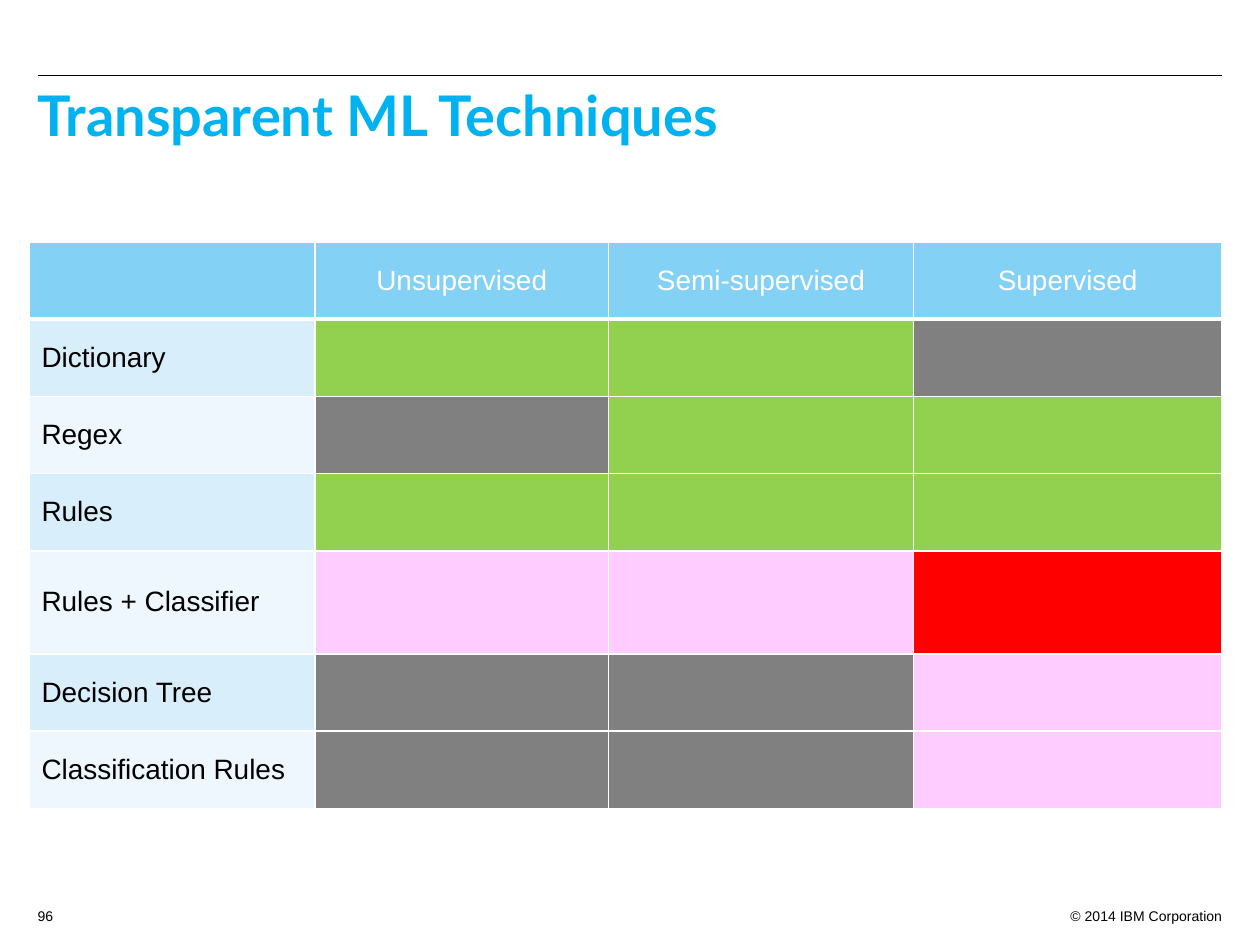
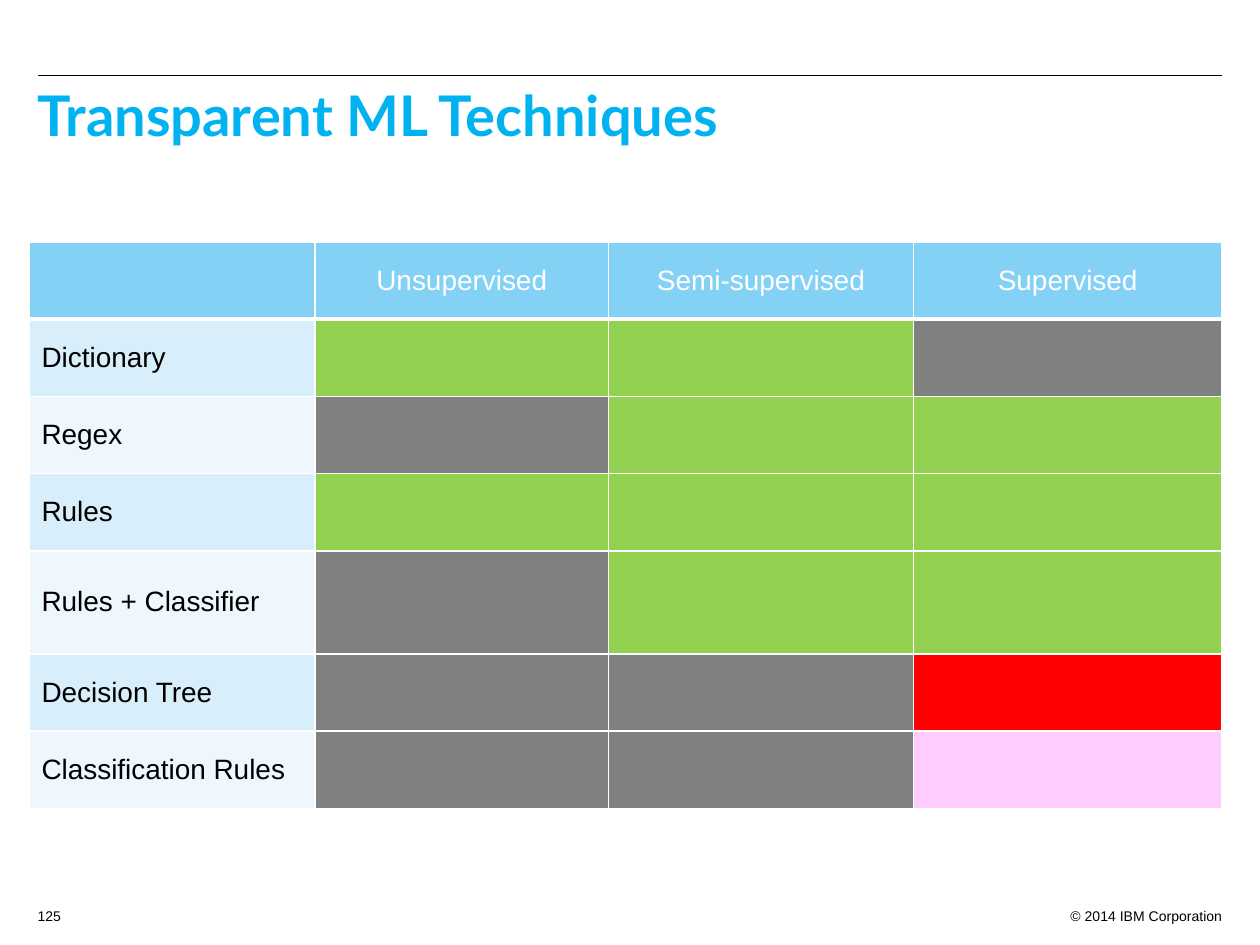
from lxml import etree
from pptx import Presentation, util as u
from pptx.dml.color import RGBColor
from pptx.enum import shapes, text
from pptx.oxml import ns

# Slide grid: 100 columns by 75 rows
SIZE = (10, 7.5)
GRID = (100, 75)

BLACK, WHITE, TITLE_BLUE = "000000", "FFFFFF", "00B2EF"
HEADER_FILL, LABEL_FILLS = "83D1F5", ("D9EEFB", "EDF7FD")
STATUS = {"G": "92D050", "N": "808080", "P": "FFCCFF", "R": "FF0000"}

HEADINGS = ("", "Unsupervised", "Semi-supervised", "Supervised")
TECHNIQUES = ("Dictionary", "Regex", "Rules", "Rules + Classifier",
              "Decision Tree", "Classification Rules")
COLUMN_WIDTHS = (22.7, 23.3, 24.2, 24.5)
ROW_HEIGHT, TALL_ROW_HEIGHT = 6.13, 8.17
TALL_ROW = "Rules + Classifier"

# Page number and one status letter per learning mode, a word per technique
PAGES = (
    ("96", "GGN NGG GGG PPR NNP NNP"),
    ("125", "GGN NGG GGG NGG NNR NNP"),
)

FORMATS = {
    "title": {"name": "Lato", "size": u.Pt(32), "bold": True},
    "footer": {"name": "Arial", "size": u.Pt(8)},
    "cell": {"name": "Arial", "size": u.Pt(16)},
}


def color(value):
    return RGBColor.from_string(value)


class Deck:
    def __init__(self):
        self.presentation = Presentation()
        self.presentation.slide_width = u.Inches(SIZE[0])
        self.presentation.slide_height = u.Inches(SIZE[1])
        self.slide = None

    def x(self, columns):
        return round(self.presentation.slide_width * columns / GRID[0])

    def y(self, rows):
        return round(self.presentation.slide_height * rows / GRID[1])

    def fill_text(self, frame, words, style, font_color, align="LEFT"):
        paragraph = frame.paragraphs[0]
        paragraph.text = words
        paragraph.alignment = getattr(text.PP_ALIGN, align)
        for name, value in FORMATS[style].items():
            setattr(paragraph.font, name, value)
        paragraph.font.color.rgb = color(font_color)
        return paragraph

    def label(self, left, top, width, height, words, style, font_color, align="LEFT"):
        box = self.slide.shapes.add_textbox(
            self.x(left), self.y(top), self.x(width), self.y(height))
        box.text_frame.word_wrap = True
        return self.fill_text(box.text_frame, words, style, font_color, align)

    def rule(self, left, right, row):
        line = self.slide.shapes.add_connector(
            shapes.MSO_CONNECTOR.STRAIGHT,
            self.x(left), self.y(row), self.x(right), self.y(row))
        line.line.color.rgb = color(BLACK)
        line.line.width = u.Pt(0.75)
        etree.SubElement(line._element.spPr, ns.qn("a:effectLst"))

    def borders(self, cell, bottom):
        properties = cell._tc.get_or_add_tcPr()
        for index, (side, points) in enumerate(zip("LRTB", (1, 1, 1, bottom))):
            edge = etree.Element(ns.qn(f"a:ln{side}"), w=str(u.Pt(points)))
            fill = etree.SubElement(edge, ns.qn("a:solidFill"))
            etree.SubElement(fill, ns.qn("a:srgbClr"), val=WHITE)
            properties.insert(index, edge)

    def cell(self, cell, fill, words="", font_color=BLACK, align="LEFT", bottom=1):
        cell.fill.solid()
        cell.fill.fore_color.rgb = color(fill)
        cell.vertical_anchor = text.MSO_ANCHOR.MIDDLE
        if words:
            self.fill_text(cell.text_frame, words, "cell", font_color, align)
        self.borders(cell, bottom)

    def table(self, left, top, statuses):
        heights = [ROW_HEIGHT] + [
            TALL_ROW_HEIGHT if name == TALL_ROW else ROW_HEIGHT for name in TECHNIQUES]
        table = self.slide.shapes.add_table(
            len(heights), len(COLUMN_WIDTHS), self.x(left), self.y(top),
            self.x(sum(COLUMN_WIDTHS)), self.y(sum(heights))).table
        for column, width in zip(table.columns, COLUMN_WIDTHS):
            column.width = self.x(width)
        for row, height in zip(table.rows, heights):
            row.height = self.y(height)

        # Heading row
        for column, heading in enumerate(HEADINGS):
            self.cell(table.cell(0, column), HEADER_FILL, heading, WHITE, "CENTER", 3)

        # Technique rows
        for row, (name, marks) in enumerate(zip(TECHNIQUES, statuses.split()), 1):
            self.cell(table.cell(row, 0), LABEL_FILLS[(row - 1) % 2], name)
            for column, mark in enumerate(marks, 1):
                self.cell(table.cell(row, column), STATUS[mark])

    def page(self, title, number):
        self.slide = self.presentation.slides.add_slide(
            self.presentation.slide_layouts[6])
        self.rule(3, 97, 6)
        self.label(83, 71.5, 15, 2, "© 2014 IBM Corporation", "footer", BLACK, "RIGHT")
        self.label(2, 6.5, 95, 8, title, "title", TITLE_BLUE).line_spacing = 0.9
        self.label(2, 71.5, 4, 2, number, "footer", BLACK)


def main():
    deck = Deck()
    for number, statuses in PAGES:
        deck.page("Transparent ML Techniques", number)
        deck.table(2.3, 19.2, statuses)
    deck.presentation.save("out.pptx")


if __name__ == "__main__":
    main()
